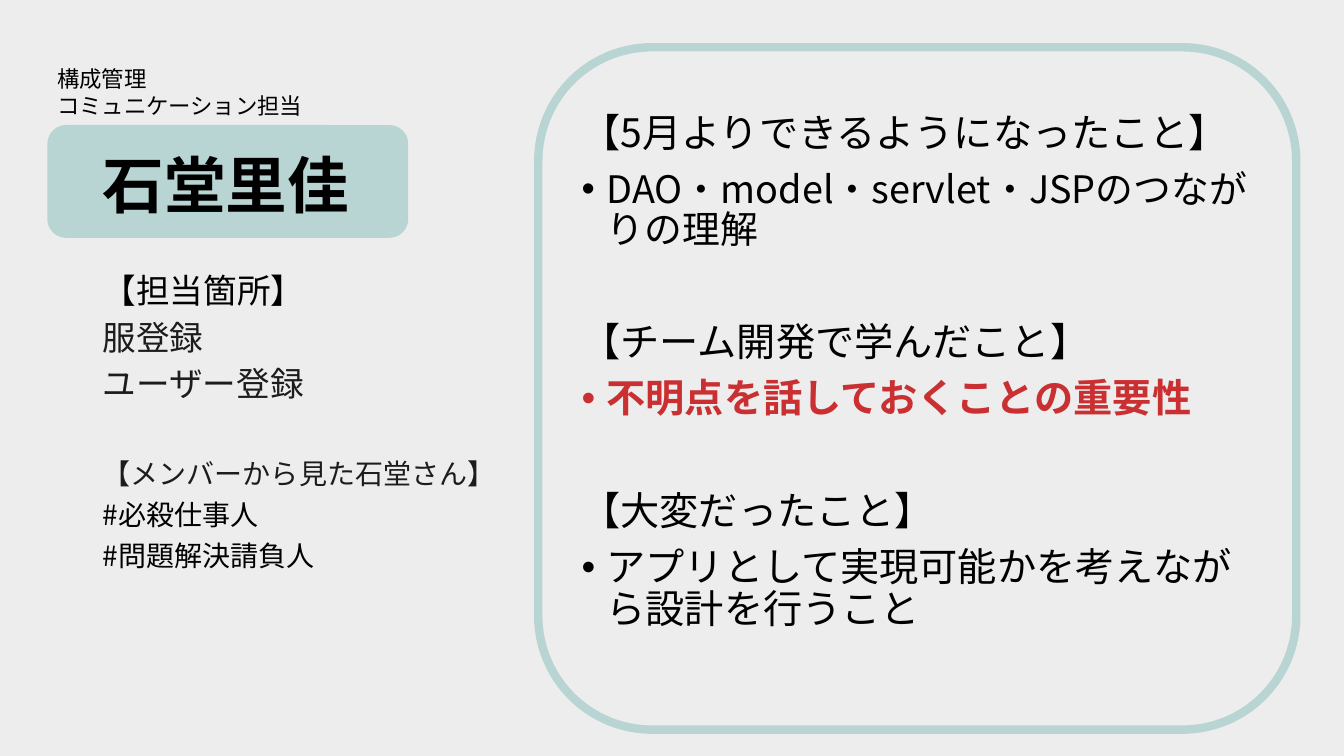
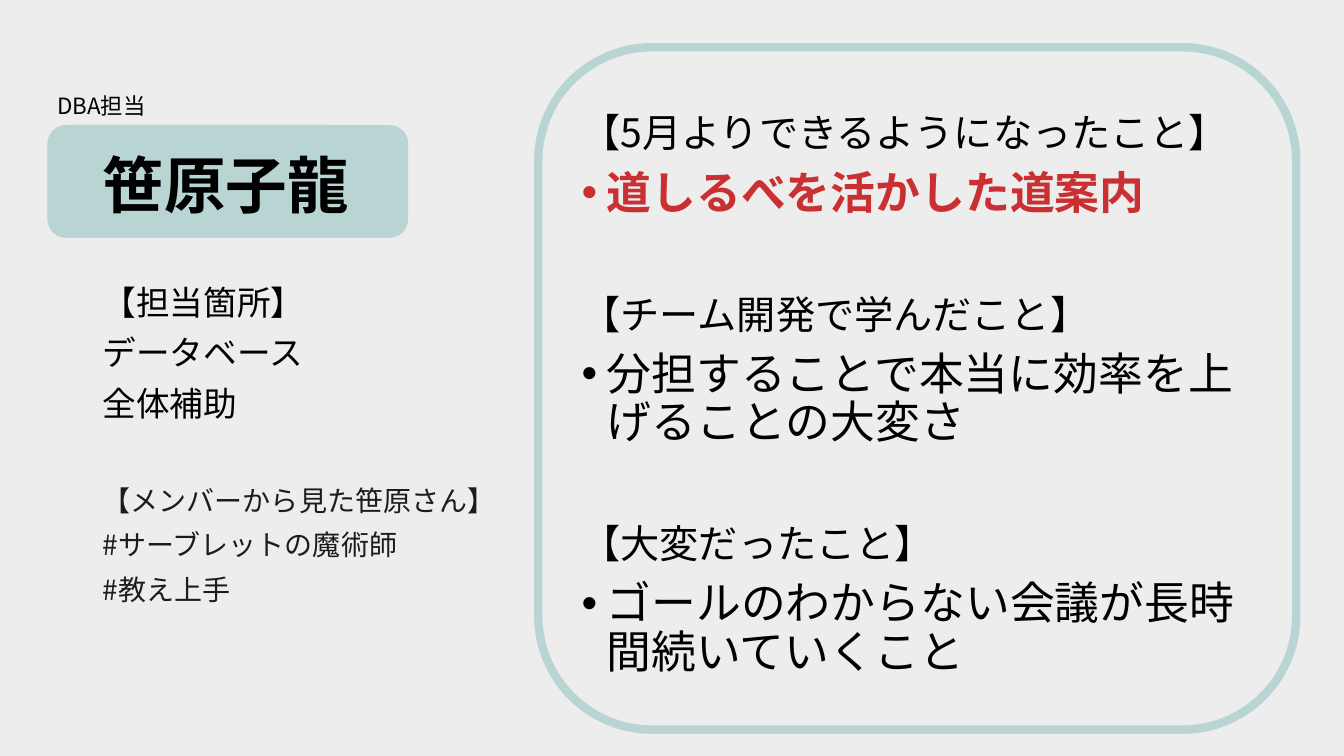
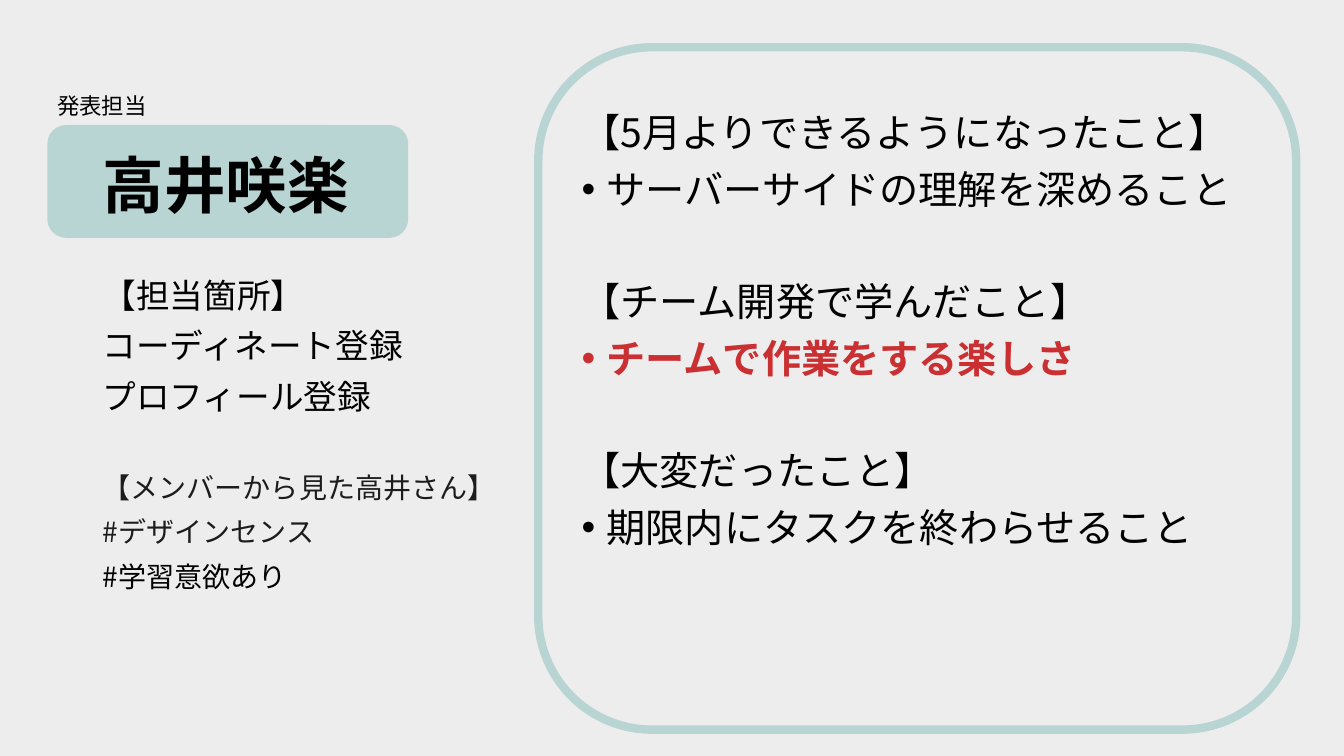
from dataclasses import dataclass

from lxml import etree
from pptx import Presentation
from pptx import util as u
from pptx.dml.color import RGBColor
from pptx.enum import lang, shapes, text
from pptx.oxml import ns

# Shared look
BACKGROUND = RGBColor(0xED, 0xED, 0xED)
TEAL = RGBColor(0xB8, 0xD4, 0xD3)
BLACK = RGBColor(0x00, 0x00, 0x00)
DARK = RGBColor(0x1D, 0x1C, 0x1D)
RED = RGBColor(0xCA, 0x30, 0x32)
FONT = "Noto Sans CJK JP"
TWO_CONTENT = 3
LINE_HEIGHT = 1.2
PARAGRAPH_GAP = 10
BULLET_INDENT = 18
DUTIES_BOTTOM = 462
HEADING_SIZE = 28
LESSON_HEADINGS = (
    "【5月よりできるようになったこと】",
    "【チーム開発で学んだこと】",
    "【大変だったこと】",
)


@dataclass(frozen=True)
class Line:
    words: str
    size: float
    color: RGBColor = BLACK
    bold: bool = False
    bullet: bool = False
    before: float = PARAGRAPH_GAP


@dataclass(frozen=True)
class Lesson:
    words: str
    size: float = 28
    key: bool = False


@dataclass(frozen=True)
class Member:
    name: str
    family_name: str
    roles: tuple[str, ...]
    role_top: float
    role_width: float
    duties: tuple[str, ...]
    duty_color: RGBColor
    tags: tuple[tuple[str, RGBColor], ...]
    duties_top: float
    duties_spacing: float
    duties_gap: float      # text size whose line height parts the two lists
    lessons: tuple[Lesson, ...]
    lessons_width: float
    lessons_height: float
    lessons_gap: float


MEMBERS = (
    Member(
        "石堂里佳", "石堂", ("構成管理", "コミュニケーション担当"), 43.2, 271.4,
        ("服登録", "ユーザー登録"), DARK,
        (("#必殺仕事人", BLACK), ("#問題解決請負人", BLACK)),
        195, 0.8, 24,
        (
            Lesson("DAO・model・servlet・JSPのつながりの理解", 27),
            Lesson("不明点を話しておくことの重要性", key=True),
            Lesson("アプリとして実現可能かを考えながら設計を行うこと"),
        ),
        499, 428.4, 28,
    ),
    Member(
        "笹原子龍", "笹原", ("DBA担当",), 62, 480.2,
        ("データベース", "全体補助"), BLACK,
        (("#サーブレットの魔術師", DARK), ("#教え上手", DARK)),
        201, 0.9, 24,
        (
            Lesson("道しるべを活かした道案内", 32, key=True),
            Lesson("分担することで本当に効率を上げることの大変さ", 32),
            Lesson("ゴールのわからない会議が長時間続いていくこと", 32),
        ),
        486, 437, 32,
    ),
    Member(
        "高井咲楽", "高井", ("発表担当",), 62, 480.2,
        ("コーディネート登録", "プロフィール登録"), BLACK,
        (("#デザインセンス", DARK), ("#学習意欲あり", BLACK)),
        196, 0.9, 20,
        (
            Lesson("サーバーサイドの理解を深めること"),
            Lesson("チームで作業をする楽しさ", key=True),
            Lesson("期限内にタスクを終わらせること"),
        ),
        486, 428.4, 28,
    ),
)


def section_gap(size: float, spacing: float) -> float:
    """Space before a heading that starts a new section."""
    return round(2 * PARAGRAPH_GAP + LINE_HEIGHT * spacing * size, 1)


def place(part, left: float, top: float, width: float, height: float) -> None:
    part.left, part.top = u.Pt(left), u.Pt(top)
    part.width, part.height = u.Pt(width), u.Pt(height)


def set_bullet(paragraph, bullet: bool) -> None:
    props = paragraph._p.get_or_add_pPr()
    indent = u.Pt(BULLET_INDENT) if bullet else 0
    props.set("marL", str(indent))
    props.set("indent", str(-indent))
    if bullet:
        etree.SubElement(props, ns.qn("a:buFont")).set("typeface", "Arial")
        etree.SubElement(props, ns.qn("a:buChar")).set("char", "•")
    else:
        etree.SubElement(props, ns.qn("a:buNone"))


def write(frame, lines: list[Line], spacing: float,
          anchor=text.MSO_ANCHOR.TOP, fit=text.MSO_AUTO_SIZE.NONE) -> None:
    frame.word_wrap = True
    frame.auto_size = fit
    frame.vertical_anchor = anchor
    for index, line in enumerate(lines):
        paragraph = frame.add_paragraph() if index else frame.paragraphs[0]
        paragraph.alignment = text.PP_ALIGN.LEFT
        paragraph.line_spacing = spacing
        paragraph.space_before = u.Pt(line.before)
        set_bullet(paragraph, line.bullet)
        run = paragraph.add_run()
        run.text = line.words
        font = run.font
        font.name, font.size, font.bold = FONT, u.Pt(line.size), line.bold
        font.color.rgb = line.color
        font.language_id = lang.MSO_LANGUAGE_ID.JAPANESE
        # East Asian letters take their font from a:ea
        etree.SubElement(run._r.get_or_add_rPr(), ns.qn("a:ea")).set("typeface", FONT)


def add_panel(slide, left: float, top: float, width: float, height: float):
    panel = slide.shapes.add_shape(
        shapes.MSO_SHAPE.ROUNDED_RECTANGLE,
        u.Pt(left), u.Pt(top), u.Pt(width), u.Pt(height))
    panel.shadow.inherit = False
    return panel


def duty_lines(member: Member) -> list[Line]:
    gap = section_gap(member.duties_gap, member.duties_spacing)
    return [
        Line("【担当箇所】", 24, before=0),
        *(Line(duty, 24, member.duty_color) for duty in member.duties),
        Line(f"【メンバーから見た{member.family_name}さん】", 20, DARK, before=gap),
        *(Line(tag, 20, color) for tag, color in member.tags),
    ]


def lesson_lines(member: Member) -> list[Line]:
    gap = section_gap(member.lessons_gap, 0.9)
    lines = []
    for heading, lesson in zip(LESSON_HEADINGS, member.lessons):
        lines.append(Line(heading, HEADING_SIZE, before=gap if lines else 0))
        lines.append(Line(lesson.words, lesson.size, RED if lesson.key else BLACK,
                          lesson.key, bullet=True))
    return lines


def add_member_slide(deck, member: Member) -> None:
    slide = deck.slides.add_slide(deck.slide_layouts[TWO_CONTENT])
    name = slide.shapes.title
    duties, lessons = slide.placeholders[1], slide.placeholders[2]

    # Name on its teal plate
    plate = add_panel(slide, 33.8, 89.3, 257.8, 80.6)
    plate.fill.solid()
    plate.fill.fore_color.rgb = TEAL
    plate.line.fill.background()
    name.element.addprevious(plate.element)
    place(name, 66.2, 36, 309.6, 126)
    write(name.text_frame, [Line(member.name, 44, bold=True, before=0)], 0.9,
          text.MSO_ANCHOR.BOTTOM)

    # Duties and what the team says
    place(duties, 66.2, member.duties_top, 309.6, DUTIES_BOTTOM - member.duties_top)
    write(duties.text_frame, duty_lines(member), member.duties_spacing)

    # Lessons in the outlined panel
    place(lessons, 408.2, 77.8, member.lessons_width, member.lessons_height)
    write(lessons.text_frame, lesson_lines(member), 0.9)
    outline = add_panel(slide, 384.5, 33.8, 541.4, 487.4)
    outline.fill.background()
    outline.line.color.rgb = TEAL
    outline.line.width = u.Pt(6)

    # Role above the name
    role = slide.shapes.add_textbox(
        u.Pt(33.8), u.Pt(member.role_top), u.Pt(member.role_width),
        u.Pt(7.2 + 19.4 * len(member.roles)))
    write(role.text_frame, [Line(words, 16, before=0) for words in member.roles], 1.0,
          fit=text.MSO_AUTO_SIZE.SHAPE_TO_FIT_TEXT)


def main() -> None:
    deck = Presentation()
    deck.slide_width, deck.slide_height = u.Pt(960), u.Pt(540)
    backdrop = deck.slide_master.background.fill
    backdrop.solid()
    backdrop.fore_color.rgb = BACKGROUND
    for member in MEMBERS:
        add_member_slide(deck, member)
    deck.save("out.pptx")


if __name__ == "__main__":
    main()
